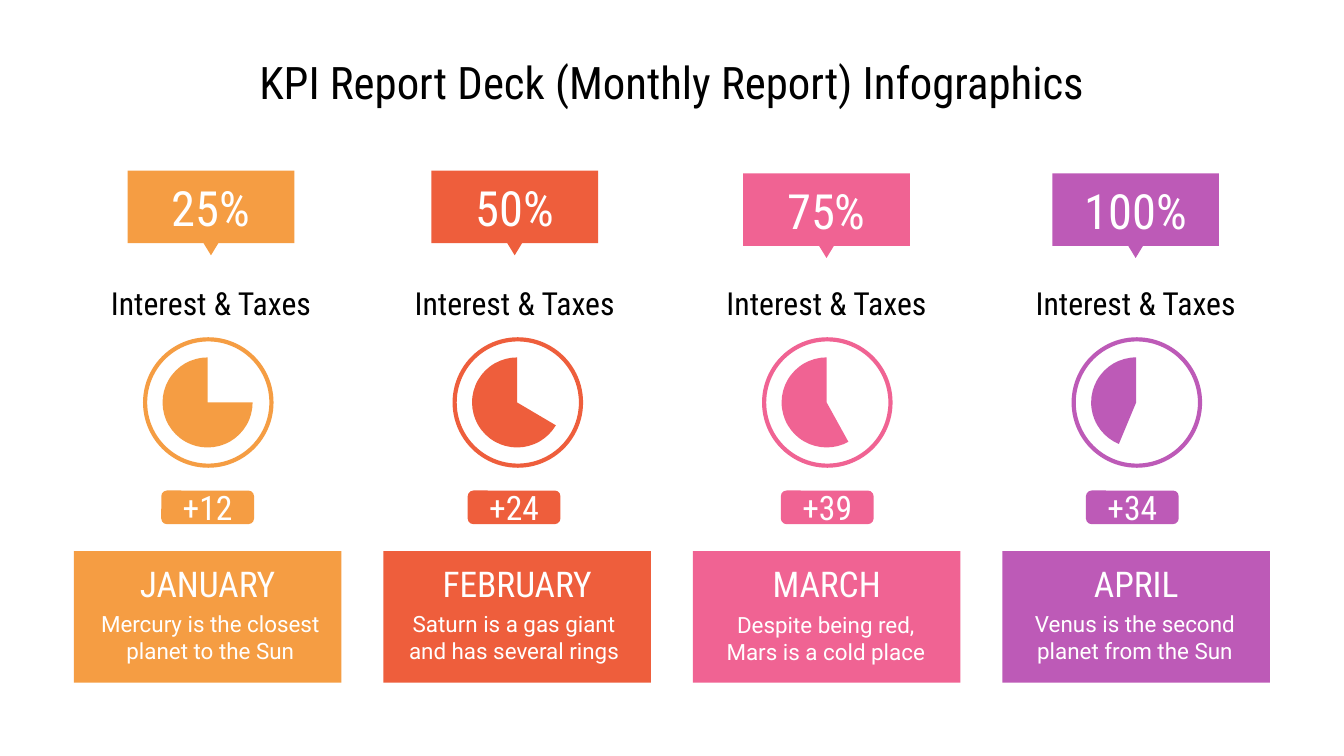
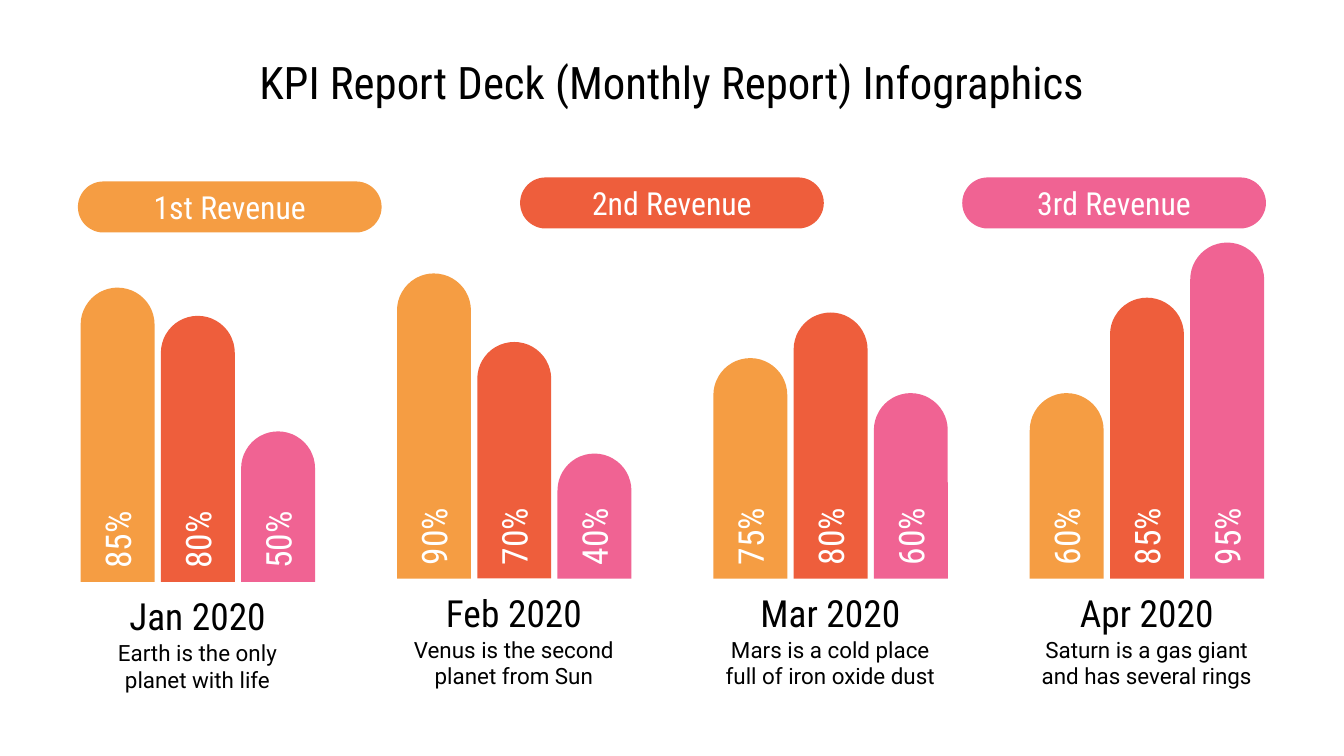
"""Build two slides of a monthly KPI report."""
import dataclasses

import pptx
import pptx.dml.color
import pptx.enum.shapes
import pptx.enum.text
import pptx.util

SHAPE = pptx.enum.shapes.MSO_SHAPE
ALIGN = pptx.enum.text.PP_ALIGN
ANCHOR = pptx.enum.text.MSO_ANCHOR
WIDTH = pptx.util.Inches(10)
HEIGHT = pptx.util.Inches(5.625)
CELL = WIDTH // 100
INSET = pptx.util.Inches(0.1)
TITLE = "KPI Report Deck (Monthly Report) Infographics"


@dataclasses.dataclass(frozen=True)
class Style:
    """Font, size and colour of a piece of text."""
    font: str
    size: int
    color: str


@dataclasses.dataclass(frozen=True)
class Theme:
    """Colours and type sizes shared by the slides."""
    accents: tuple = ("F59D43", "EE5E3C", "F06393", "BD5AB7")
    dark: str = "000000"
    light: str = "FFFFFF"
    heading: str = "Roboto Condensed"
    text: str = "Roboto"
    title_size: int = 24
    badge_size: int = 26
    month_size: int = 20
    name_size: int = 19
    change_size: int = 18
    label_size: int = 17
    body_size: int = 12

    def head(self, size, color):
        """Return a heading style."""
        return Style(self.heading, size, color)

    def body(self, color):
        """Return the body style."""
        return Style(self.text, self.body_size, color)


THEME = Theme()


@dataclasses.dataclass(frozen=True)
class Kpi:
    """One month's figures, with the places that vary by month."""
    name: str
    percent: str
    change: str
    note: str
    pie_start: float
    badge_col: float
    badge_row: float
    percent_cols: float
    pill_col: float
    note_row: float


@dataclasses.dataclass(frozen=True)
class BarGroup:
    """One month's bars, as (label, rows) pairs on a base row."""
    month: str
    note: str
    base: float
    bars: tuple


KPIS = (
    Kpi("JANUARY", "25%", "+12", "Mercury is the closest planet to the Sun",
        0, 9.5, 12.7, 11.4, 12, 44.4),
    Kpi("FEBRUARY", "50%", "+24", "Saturn is a gas giant and has several rings",
        18.32, 32.1, 12.7, 11.4, 34.8, 44.4),
    Kpi("MARCH", "75%", "+39", "Despite being red, Mars is a cold place",
        36.64, 55.3, 12.9, 11.4, 58.1, 44.5),
    Kpi("APRIL", "100%", "+34", "Venus is the second planet from the Sun",
        67.55, 78.3, 12.9, 13.5, 80.8, 44.4),
)
GROUPS = (
    BarGroup("Jan 2020", "Earth is the only planet with life", 43.3,
             (("85%", 21.9), ("80%", 19.8), ("50%", 11.2))),
    BarGroup("Feb 2020", "Venus is the second planet from Sun", 43.05,
             (("90%", 22.7), ("70%", 17.6), ("40%", 9.3))),
    BarGroup("Mar 2020", "Mars is a cold place full of iron oxide dust", 43.05,
             (("75%", 16.4), ("80%", 19.8), ("60%", 13.8))),
    BarGroup("Apr 2020", "Saturn is a gas giant and has several rings", 43.05,
             (("60%", 13.8), ("85%", 20.9), ("95%", 25))),
)
LEGEND = (("1st Revenue", 13.5), ("2nd Revenue", 13.2), ("3rd Revenue", 13.2))


def grid(*cells):
    """Turn counts of columns and rows into lengths."""
    return [round(cell * CELL) for cell in cells]


def rgb(color):
    """Return a colour object for a hex string."""
    return pptx.dml.color.RGBColor.from_string(color)


def write(shape, text, style, align=ALIGN.CENTER, anchor=ANCHOR.MIDDLE):
    """Put styled text in a shape."""
    frame = shape.text_frame
    frame.word_wrap = True
    frame.auto_size = pptx.enum.text.MSO_AUTO_SIZE.NONE
    frame.vertical_anchor = anchor
    frame.margin_left = frame.margin_right = INSET
    frame.margin_top = frame.margin_bottom = INSET
    frame.text = text
    para = frame.paragraphs[0]
    para.alignment = align
    para.font.name = style.font
    para.font.size = pptx.util.Pt(style.size)
    para.font.color.rgb = rgb(style.color)


def add_text(page, place, text, style, **options):
    """Add a text box on the grid."""
    box = page.shapes.add_textbox(*grid(*place))
    write(box, text, style, **options)
    return box


def paint(shape, color):
    """Give a shape a flat fill without line or shadow."""
    shape.shadow.inherit = False
    shape.fill.solid()
    shape.fill.fore_color.rgb = rgb(color)
    shape.line.fill.background()


def add_block(page, kind, place, color, adjustments=()):
    """Add a flat preset shape on the grid."""
    block = page.shapes.add_shape(kind, *grid(*place))
    for index, value in enumerate(adjustments):
        block.adjustments[index] = value
    paint(block, color)
    return block


def add_ring(page, place, color):
    """Add an unfilled circle."""
    ring = page.shapes.add_shape(SHAPE.OVAL, *grid(*place))
    ring.shadow.inherit = False
    ring.fill.background()
    ring.line.color.rgb = rgb(color)
    ring.line.width = pptx.util.Pt(2.25)


def add_badge(page, col, row, color):
    """Add a rectangle with a small pointer below its middle."""
    outline = ((0, 0), (0, 5.4), (5.65, 5.4), (6.2, 6.3), (6.75, 5.4), (12.4, 5.4), (12.4, 0))
    points = [grid(col + x, row + y) for x, y in outline]
    builder = page.shapes.build_freeform(*points[0], scale=1.0)
    builder.add_line_segments(points[1:], close=True)
    paint(builder.convert_to_shape(), color)


def add_page(deck):
    """Add a title-only slide with the shared title."""
    page = deck.slides.add_slide(deck.slide_layouts[5])
    title = page.shapes.title
    title.left, title.top, title.width, title.height = grid(5.5, 5, 89, 2.1)
    write(title, TITLE, THEME.head(THEME.title_size, THEME.dark))
    return page


def add_kpi(page, kpi, col, color):
    """Add one month's badge, gauge, change and card."""
    badge_col, badge_row = kpi.badge_col, kpi.badge_row
    add_badge(page, badge_col, badge_row, color)
    add_text(page, (badge_col + 6.2 - kpi.percent_cols / 2, badge_row, kpi.percent_cols, 5.4),
             kpi.percent, THEME.head(THEME.badge_size, THEME.light))
    add_text(page, (badge_col - 3.75, 20.9, 19.9, 3.3), "Interest & Taxes",
             THEME.head(THEME.label_size, THEME.dark))
    add_ring(page, (col + 5.3, 25.25, 9.4, 9.4), color)
    add_block(page, SHAPE.PIE, (col + 6.6, 26.6, 6.7, 6.7), color, (kpi.pie_start, 162))
    add_block(page, SHAPE.ROUNDED_RECTANGLE, (kpi.pill_col, 36.5, 6.9, 2.5), color, (0.17,))
    add_text(page, (kpi.pill_col + 0.35, 36.3, 6.2, 2.9), kpi.change,
             THEME.head(THEME.change_size, THEME.light))
    add_block(page, SHAPE.RECTANGLE, (col, 41, 19.9, 9.8), color)
    add_text(page, (col + 2.9, 41.8, 14.1, 3.2), kpi.name,
             THEME.head(THEME.name_size, THEME.light))
    add_text(page, (badge_col - 3.1, kpi.note_row, 18.5, 6.2), kpi.note,
             THEME.body(THEME.light), anchor=ANCHOR.TOP)


def add_bar_group(page, group, col):
    """Add one month's round-topped bars and caption."""
    for index, (label, rows) in enumerate(group.bars):
        bar_col = col + index * 5.97
        add_block(page, SHAPE.ROUND_2_SAME_RECTANGLE, (bar_col, group.base - rows, 5.5, rows),
                  THEME.accents[index], (0.5, 0))
        box = add_text(page, (bar_col - 1.2, group.base - 5.25, 7.8, 2.7), label,
                       THEME.head(THEME.name_size, THEME.light), align=ALIGN.LEFT)
        box.rotation = 270
    add_text(page, (col + 0.45, group.base + 0.95, 16.5, 3.1), group.month,
             THEME.head(THEME.month_size, THEME.dark))
    add_text(page, (col - 0.2, group.base + 4.15, 17.8, 4.2), group.note,
             THEME.body(THEME.dark))


def add_legend(page):
    """Add the three revenue pills."""
    for index, (label, row) in enumerate(LEGEND):
        pill = add_block(page, SHAPE.ROUNDED_RECTANGLE, (5.8 + index * 32.9, row, 22.6, 3.8),
                         THEME.accents[index], (0.5,))
        write(pill, label, THEME.head(THEME.label_size, THEME.light))


def main():
    """Build and save the deck."""
    deck = pptx.Presentation()
    deck.slide_width, deck.slide_height = WIDTH, HEIGHT
    page = add_page(deck)
    for index, kpi in enumerate(KPIS):
        add_kpi(page, kpi, 5.5 + index * 23.03, THEME.accents[index])
    page = add_page(deck)
    add_legend(page)
    for index, group in enumerate(GROUPS):
        add_bar_group(page, group, 6 + index * 23.54)
    deck.save("out.pptx")


if __name__ == "__main__":
    main()
